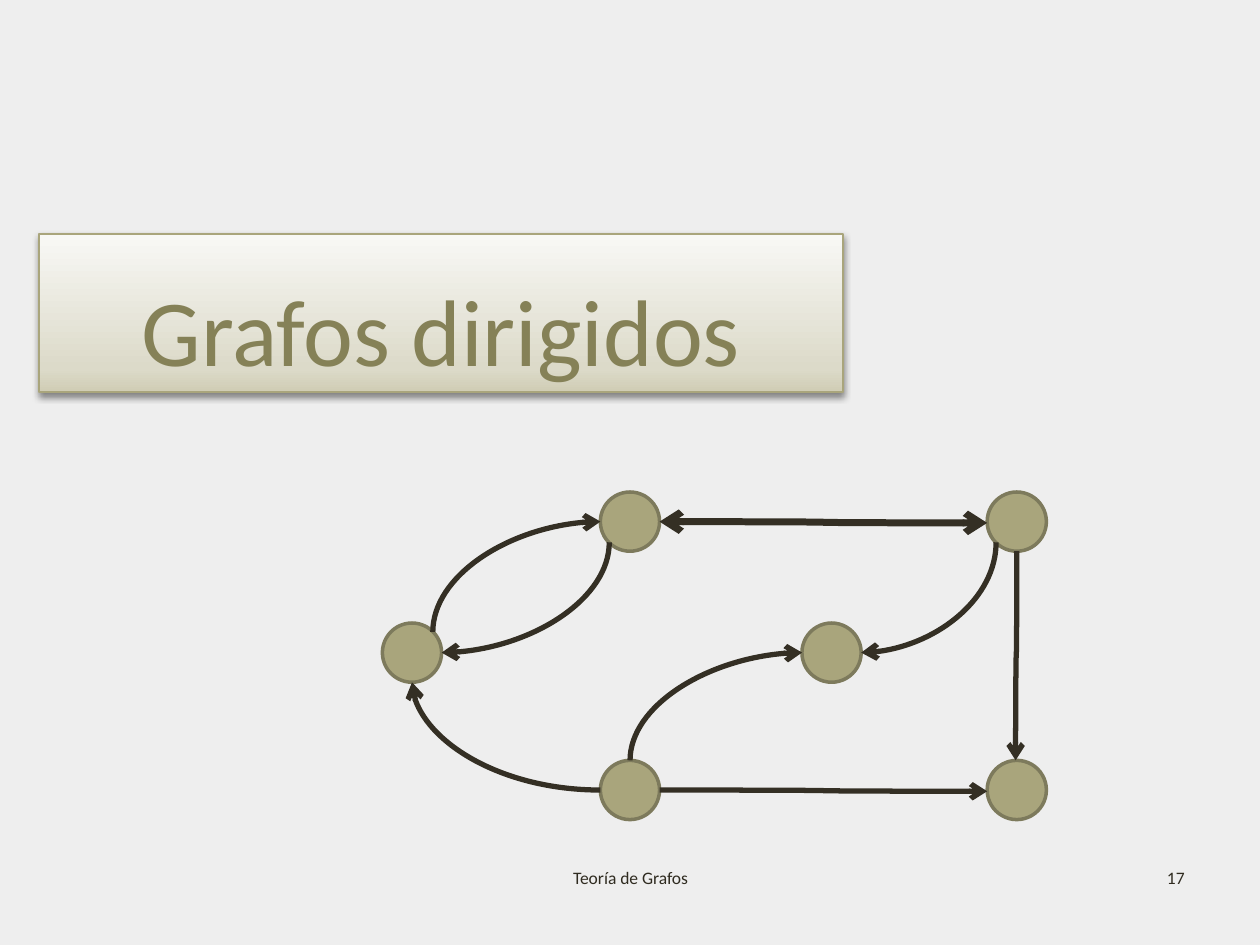
from lxml import etree
from pptx import Presentation
from pptx.dml.color import RGBColor
from pptx.enum.shapes import MSO_CONNECTOR, MSO_SHAPE
from pptx.enum.text import MSO_ANCHOR, PP_ALIGN
from pptx.oxml import parse_xml
from pptx.oxml.ns import nsdecls, qn
from pptx.util import Inches, Pt

CURVE = MSO_CONNECTOR.CURVE
RECT, OVAL = MSO_SHAPE.RECTANGLE, MSO_SHAPE.OVAL
CENTER, RIGHT = PP_ALIGN.CENTER, PP_ALIGN.RIGHT
TOP, BOTTOM = MSO_ANCHOR.TOP, MSO_ANCHOR.BOTTOM

COLORS = {"bg": "EEEEEE", "title": "858157", "text": "2F2B20", "edge": "342F24",
          "node": "A9A57C", "node_line": "7D7A5C", "shadow": "000000"}
TITLE_STOPS = [(0, "D0CDB5"), (15, "DCDAC9"), (100, "F8F8F5")]

# Nodes: centre relative to the graph box
DIAMETER = 0.47
NODES = {"left": (0.24, 1.27), "top": (1.97, 0.23), "bottom": (1.97, 2.36),
         "middle": (3.57, 1.27), "right_bottom": (5.04, 2.36), "right_top": (5.04, 0.23)}
# Ports: offset from a node centre, in radii
PORTS = {"N": (0, -1), "S": (0, 1), "E": (1, 0), "W": (-1, 0),
         "NE": (0.7, -0.7), "SW": (-0.7, 0.7)}
# Edges: start node and port, end node and port, rotation, preset, width, two-way
BEND, WAVE = "curvedConnector2", "curvedConnector3"
EDGES = [
    ("left", "NE", "top", "W", 90, BEND, 3, False),
    ("bottom", "N", "middle", "W", 90, BEND, 3, False),
    ("right_top", "S", "right_bottom", "N", 90, WAVE, 3, False),
    ("right_top", "SW", "middle", "E", 90, BEND, 3, False),
    ("bottom", "E", "right_bottom", "W", 0, WAVE, 3, False),
    ("top", "SW", "left", "E", 90, BEND, 3, False),
    ("bottom", "W", "left", "S", 180, BEND, 3, False),
    ("top", "E", "right_top", "W", 0, WAVE, 4, True),
]
SKEW = 0.01  # slight slant of the aligned edges


def rgb(name):
    return RGBColor.from_string(COLORS[name])


def set_text(shape, text, align, anchor, size, color):
    tf = shape.text_frame
    tf.word_wrap = True
    tf.vertical_anchor = anchor
    p = tf.paragraphs[0]
    p.alignment = align
    r = p.add_run()
    r.text = text
    for name, value in {"name": "Calibri", "size": Pt(size)}.items():
        setattr(r.font, name, value)
    r.font.color.rgb = rgb(color)


def add_title(s, box, text):
    shape = s.shapes.add_shape(RECT, *map(Inches, box))
    shape.line.color.rgb = rgb("node")
    shape.line.width = Pt(1)
    # Gradient from bottom to top, and a soft shadow below
    stops = "".join(f'<a:gs pos="{pos * 1000}"><a:srgbClr val="{color}"/></a:gs>'
                    for pos, color in TITLE_STOPS)
    sp_pr = shape._element.spPr
    sp_pr.find(qn("a:prstGeom")).addnext(parse_xml(
        f'<a:gradFill {nsdecls("a")} rotWithShape="1"><a:gsLst>{stops}</a:gsLst>'
        '<a:lin ang="16200000" scaled="0"/></a:gradFill>'))
    sp_pr.append(parse_xml(
        f'<a:effectLst {nsdecls("a")}><a:outerShdw blurRad="{Pt(4)}" dist="{Pt(2)}" '
        f'dir="5400000" rotWithShape="0"><a:srgbClr val="{COLORS["shadow"]}">'
        '<a:alpha val="43000"/></a:srgbClr></a:outerShdw></a:effectLst>'))
    set_text(shape, text, CENTER, BOTTOM, 54, "title")


def add_footer(s, box, text, align):
    shape = s.shapes.add_textbox(*map(Inches, box))
    set_text(shape, text, align, TOP, 10, "text")


def add_node(s, x, y):
    r = DIAMETER / 2
    shape = s.shapes.add_shape(OVAL, *map(Inches, (x - r, y - r, DIAMETER, DIAMETER)))
    shape.shadow.inherit = False
    shape.fill.solid()
    shape.fill.fore_color.rgb = rgb("node")
    shape.line.color.rgb = rgb("node_line")
    shape.line.width = Pt(2)


def add_edge(s, start, end, rotation, preset, width, two_way):
    (x1, y1), (x2, y2) = start, end
    # Turn the end points back around the middle, as the rotation turns them forth
    dx, dy = x2 - x1, y2 - y1
    dx, dy = {0: (dx, dy), 90: (dy, -dx), 180: (-dx, -dy)}[rotation]
    cx, cy = (x1 + x2) / 2, (y1 + y2) / 2
    ends = (cx - dx / 2, cy - dy / 2, cx + dx / 2, cy + dy / 2)
    edge = s.shapes.add_connector(CURVE, *map(Inches, ends))
    edge.rotation = rotation
    edge.line.color.rgb = rgb("edge")
    edge.line.width = Pt(width)
    sp_pr = edge._element.spPr
    sp_pr.find(qn("a:prstGeom")).set("prst", preset)
    ln = sp_pr.find(qn("a:ln"))
    for tag in ("a:headEnd", "a:tailEnd") if two_way else ("a:tailEnd",):
        etree.SubElement(ln, qn(tag)).set("type", "arrow")
    etree.SubElement(sp_pr, qn("a:effectLst"))


def add_graph(s, left, top):
    centers = {name: (left + x, top + y) for name, (x, y) in NODES.items()}

    def port(node, side):
        return tuple(c + k * DIAMETER / 2 for c, k in zip(centers[node], PORTS[side]))

    for x, y in centers.values():
        add_node(s, x, y)
    for node1, side1, node2, side2, rotation, preset, width, two_way in EDGES:
        start, (x, y) = port(node1, side1), port(node2, side2)
        if preset == WAVE:
            x, y = (x - SKEW, y) if rotation else (x, y + SKEW)
        add_edge(s, start, (x, y), rotation, preset, width, two_way)


def main():
    prs = Presentation()
    prs.slide_width, prs.slide_height = Inches(10), Inches(7.5)
    s = prs.slides.add_slide(prs.slide_layouts[6])
    s.background.fill.solid()
    s.background.fill.fore_color.rgb = rgb("bg")
    add_title(s, (0.31, 1.86, 6.38, 1.25), "Grafos dirigidos")
    add_footer(s, (7.17, 6.83, 2.33, 0.52), "17", RIGHT)
    add_footer(s, (3.42, 6.83, 3.17, 0.52), "Teoría de Grafos", CENTER)
    add_graph(s, 3.03, 3.91)
    prs.save("out.pptx")


if __name__ == "__main__":
    main()
